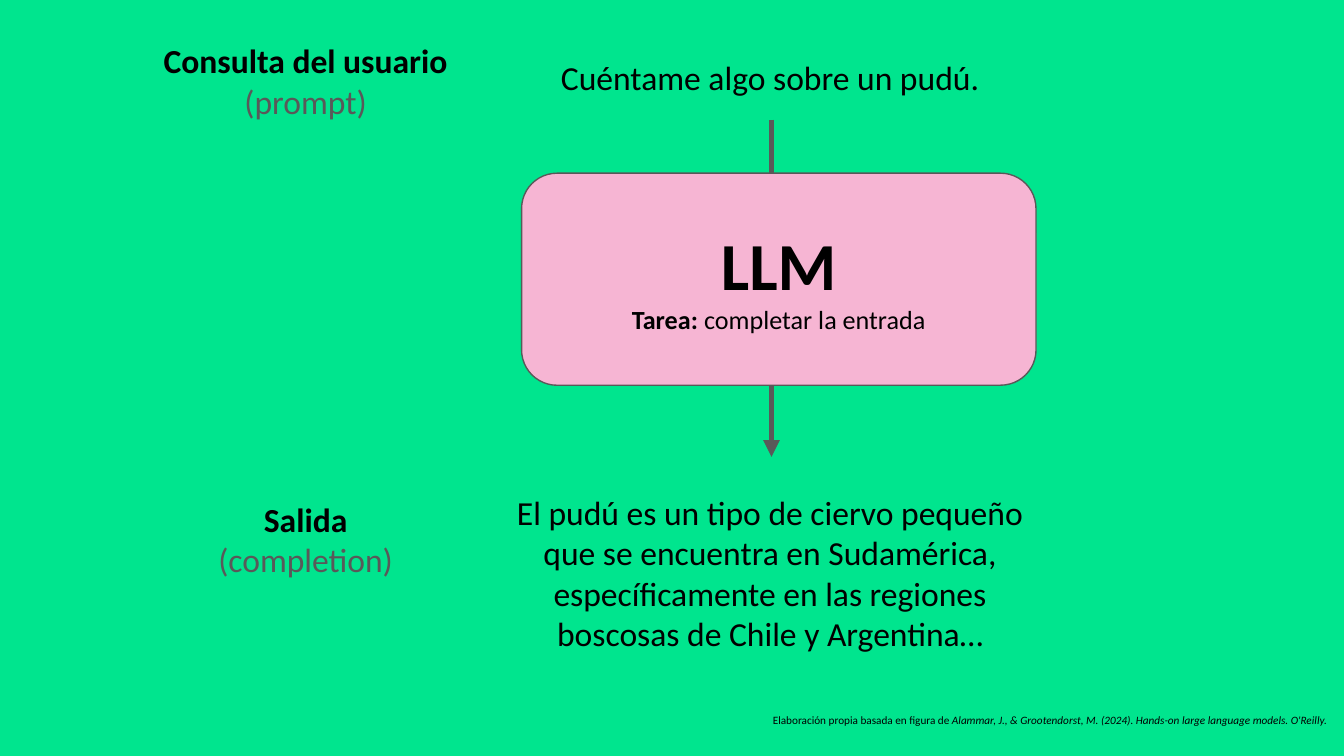
from pptx import Presentation
from pptx.dml.color import RGBColor
from pptx.enum.shapes import MSO_CONNECTOR as Conn, MSO_SHAPE as Shape
from pptx.enum.text import MSO_ANCHOR as Anchor, PP_ALIGN as Align
from pptx.oxml import parse_xml
from pptx.oxml.ns import nsdecls, qn
from pptx.util import Pt

BLACK, GRAY, PINK, GREEN = "000000", "595959", "F6B5D3", "00E58E"


def color(code):
    return RGBColor.from_string(code)


def write(para, text, size=18, tone=BLACK, bold=False, italic=False, align=Align.CENTER):
    para.alignment = align
    run = para.add_run()
    run.text = text
    font = run.font
    font.name, font.size, font.bold, font.italic = "Calibri", Pt(size), bold, italic
    font.color.rgb = color(tone)


def setup(frame, anchor=Anchor.TOP):
    frame.word_wrap = True
    frame.vertical_anchor = anchor
    frame.margin_left = frame.margin_right = Pt(7.2)
    frame.margin_top = frame.margin_bottom = Pt(7.2)
    return frame


def add_text(slide, box):
    return setup(slide.shapes.add_textbox(*map(Pt, box)).text_frame)


def add_arrow(slide, x, top, end):
    arrow = slide.shapes.add_connector(Conn.STRAIGHT, Pt(x), Pt(top), Pt(x), Pt(end))
    arrow.line.width = Pt(3)
    arrow.line.color.rgb = color(GRAY)
    props = arrow._element.spPr
    props.find(qn("a:ln")).append(parse_xml(f'<a:tailEnd {nsdecls("a")} type="triangle"/>'))
    props.append(parse_xml(f'<a:effectLst {nsdecls("a")}/>'))


def add_model(slide, box):
    card = slide.shapes.add_shape(Shape.ROUNDED_RECTANGLE, *map(Pt, box))
    card.adjustments[0] = 0.167
    card.shadow.inherit = False
    card.fill.solid()
    card.fill.fore_color.rgb = color(PINK)
    card.line.color.rgb = color(GRAY)
    card.line.width = Pt(0.75)
    frame = setup(card.text_frame, Anchor.MIDDLE)
    write(frame.paragraphs[0], "LLM", size=36, bold=True)
    task = frame.add_paragraph()
    write(task, "Tarea: ", size=14, bold=True)
    write(task, "completar la entrada", size=14)


def add_label(slide, box, name, term):
    frame = add_text(slide, box)
    write(frame.paragraphs[0], name, bold=True)
    write(frame.add_paragraph(), term, tone=GRAY)


def add_body(slide, box, text):
    write(add_text(slide, box).paragraphs[0], text)


def add_credit(slide, box):
    para = add_text(slide, box).paragraphs[0]
    write(para, "Elaboración propia basada en figura de ", size=6, align=Align.RIGHT)
    write(para, "Alammar, J., & Grootendorst, M. (2024). Hands-on large language models. O'Reilly.",
          size=6, italic=True, align=Align.RIGHT)


def main():
    deck = Presentation()
    deck.slide_width, deck.slide_height = Pt(720), Pt(405)
    slide = deck.slides.add_slide(deck.slide_layouts[6])
    fill = slide.background.fill
    fill.solid()
    fill.fore_color.rgb = color(GREEN)

    add_arrow(slide, 413.3, 64.1, 244.8)
    add_model(slide, (279.4, 92.8, 275.6, 113.6))
    rows = (
        (14.4, "Consulta del usuario", "(prompt)", 23.2, "Cuéntame algo sobre un pudú."),
        (260, "Salida", "(completion)", 256.4,
         "El pudú es un tipo de ciervo pequeño que se encuentra en Sudamérica, "
         "específicamente en las regiones boscosas de Chile y Argentina…"),
    )
    for top, name, term, level, text in rows:
        add_label(slide, (67.7, top, 192.2, 70.6), name, term)
        add_body(slide, (254.9, level, 315.4, 54), text)
    add_credit(slide, (344.2, 378.7, 373.7, 23.8))
    deck.save("out.pptx")


if __name__ == "__main__":
    main()
